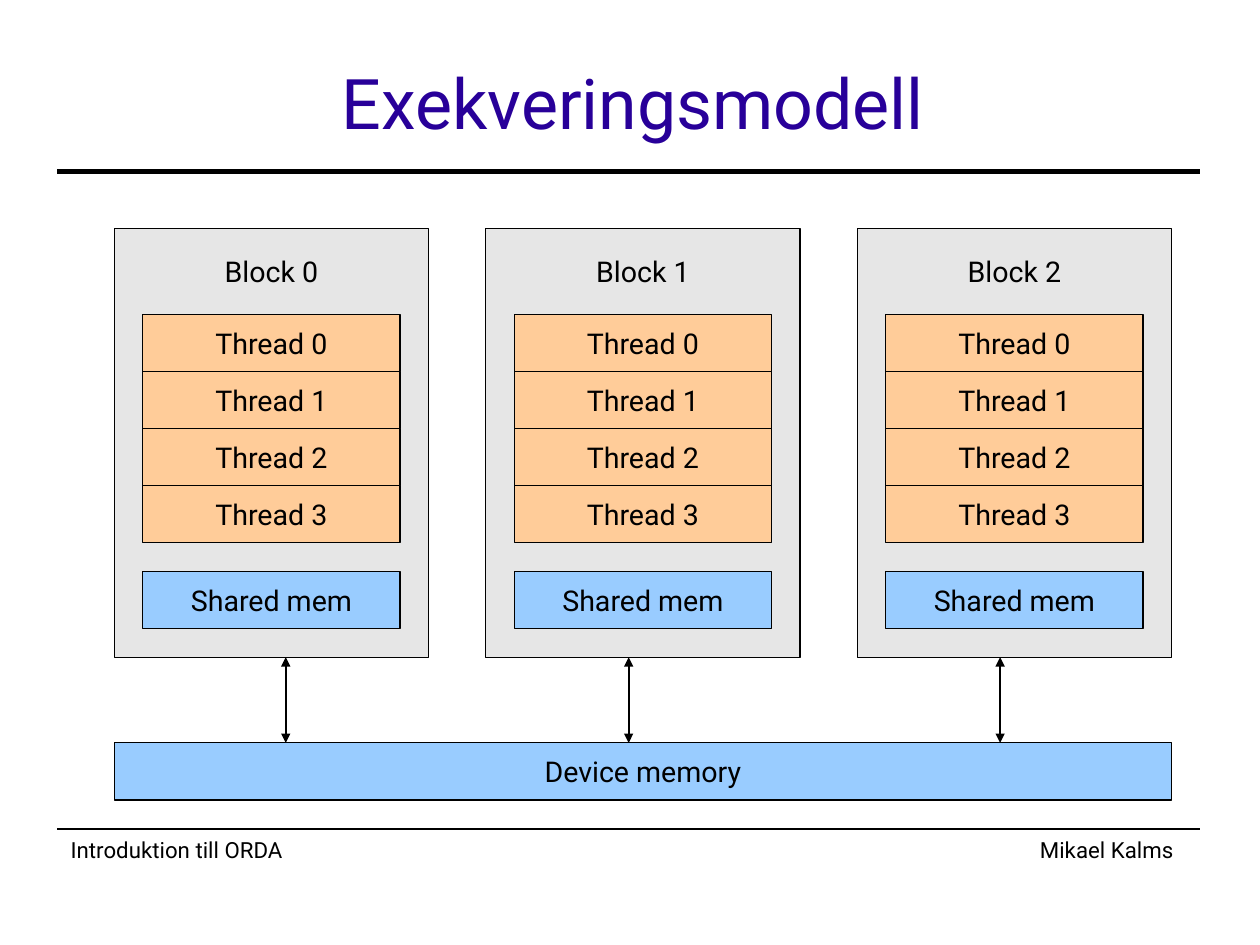
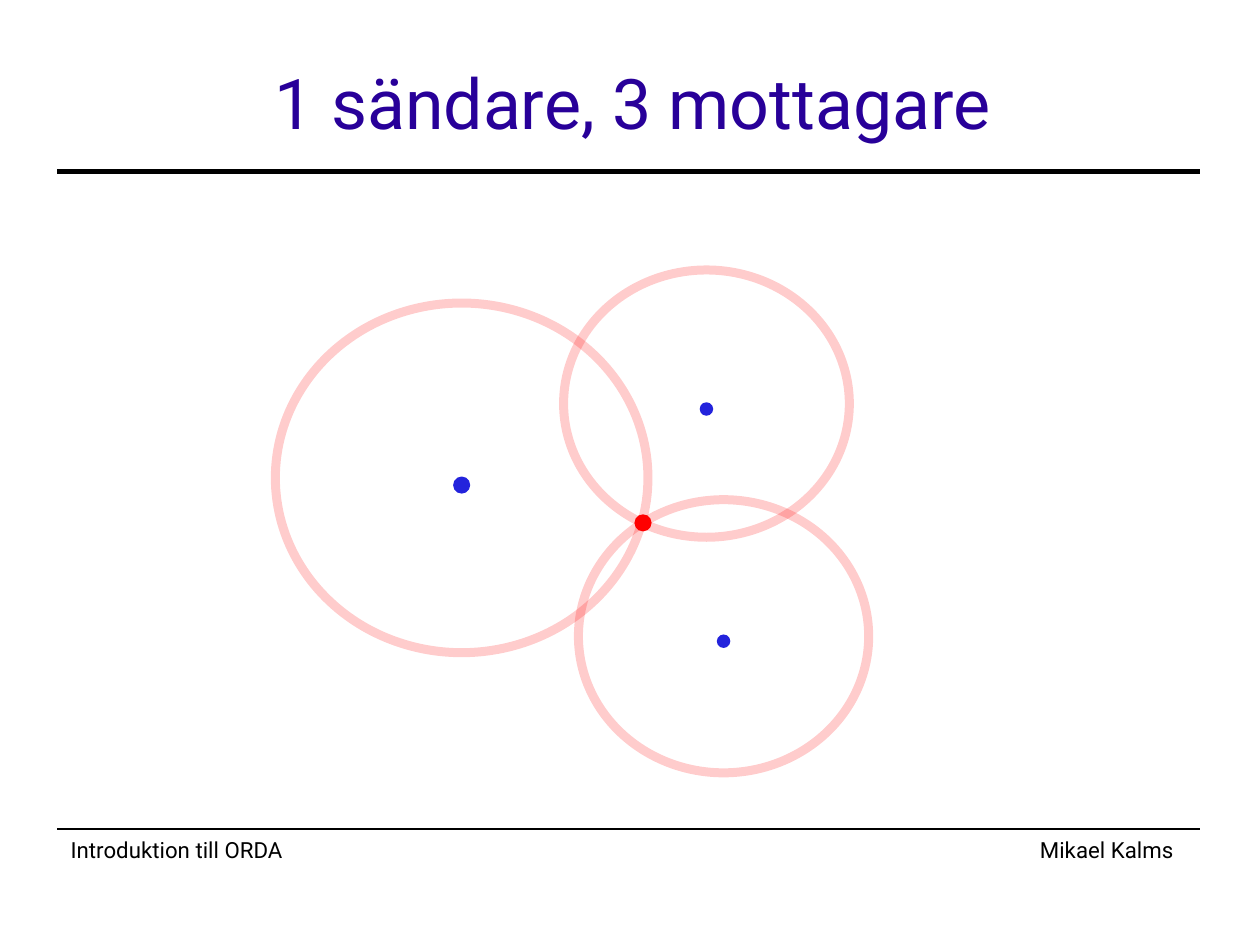
"""Build two lecture slides: the execution model and a radio positioning sketch."""
import dataclasses

import lxml.etree
import pptx
import pptx.dml.color
import pptx.enum.shapes
import pptx.enum.text
import pptx.oxml.ns
import pptx.util

Cm = pptx.util.Cm
Pt = pptx.util.Pt
SHAPES = pptx.enum.shapes.MSO_SHAPE
ALIGN = pptx.enum.text.PP_ALIGN
ANCHOR = pptx.enum.text.MSO_ANCHOR


@dataclasses.dataclass(frozen=True)
class Theme:
    """Colours, font, type sizes and line widths."""
    font: str = "Roboto"
    title_colour: str = "280099"
    ink: str = "000000"
    block: str = "E6E6E6"
    thread: str = "FFCC99"
    memory: str = "99CCFF"
    receiver: str = "2323DC"
    sender: str = "FF0000"
    title_size: float = 44
    body_size: float = 18
    footer_size: float = 14
    hairline: float = 0
    thin: float = 1.45
    thick: float = 2.89
    ring: float = 5.67
    ring_opacity: int = 20


THEME = Theme()
GRID = Cm(1.27) / 2

EXECUTION_TITLE = "Exekveringsmodell"
POSITION_TITLE = "1 sändare, 3 mottagare"
FOOTERS = [("Introduktion till ORDA", Cm(1.27), Cm(5.97)),
           ("Mikael Kalms", Cm(22.81), Cm(3.86))]
RULES = [(6, THEME.thick), (29, THEME.thin)]

BLOCKS = ["Block 0", "Block 1", "Block 2"]
THREADS = ["Thread 0", "Thread 1", "Thread 2", "Thread 3"]
SHARED_MEMORY = "Shared mem"
DEVICE_MEMORY = "Device memory"
ARROW_COLUMNS = [10, 22, 35]

RECEIVERS = [
    {"centre": (10.26, 10.62), "ring": (8.28, 7.77), "dot": 0.38, "drop": 0.16},
    {"centre": (15.7, 8.97), "ring": (6.35, 5.94), "dot": 0.3, "drop": 0.12},
    {"centre": (16.08, 14.14), "ring": (6.45, 6.07), "dot": 0.3, "drop": 0.11},
]
SENDER = {"centre": (14.29, 11.62), "dot": 0.38}


def grid(*units):
    """Turn grid units into whole lengths."""
    return [round(unit * GRID) for unit in units]


def rgb(colour):
    """Return the colour object for a hex string."""
    return pptx.dml.color.RGBColor.from_string(colour)


def add_tag(parent, tag, **attributes):
    """Append a DrawingML element."""
    return lxml.etree.SubElement(parent, pptx.oxml.ns.qn(tag), attributes)


def write(frame, text, size, colour=THEME.ink, align=ALIGN.LEFT):
    """Write one formatted run in the first paragraph."""
    paragraph = frame.paragraphs[0]
    paragraph.alignment = align
    run = paragraph.add_run()
    run.text = text
    run.font.name = THEME.font
    run.font.size = Pt(size)
    run.font.color.rgb = rgb(colour)


def set_margins(frame, horizontal, vertical):
    """Set equal side margins and equal top and bottom margins."""
    frame.margin_left = frame.margin_right = horizontal
    frame.margin_top = frame.margin_bottom = vertical


def add_line(slide, start, end, width, arrows=False):
    """Draw a straight line between two grid points."""
    connector = slide.shapes.add_connector(
        pptx.enum.shapes.MSO_CONNECTOR.STRAIGHT, *grid(*start, *end))
    connector.line.color.rgb = rgb(THEME.ink)
    connector.line.width = Pt(width)
    if arrows:
        outline = connector.element.xpath("./p:spPr/a:ln")[0]
        for tag in ("a:headEnd", "a:tailEnd"):
            add_tag(outline, tag, type="triangle")
    add_tag(connector.element.spPr, "a:effectLst")


def add_box(slide, text, fill, box, heading=False):
    """Draw a labelled rectangle placed in grid units."""
    shape = slide.shapes.add_shape(SHAPES.RECTANGLE, *grid(*box))
    shape.shadow.inherit = False
    shape.fill.solid()
    shape.fill.fore_color.rgb = rgb(fill)
    shape.line.color.rgb = rgb(THEME.ink)
    shape.line.width = Pt(THEME.hairline)
    frame = shape.text_frame
    frame.vertical_anchor = ANCHOR.TOP if heading else ANCHOR.MIDDLE
    if heading:
        frame.margin_top = Cm(0.56)
    write(frame, text, THEME.body_size, align=ALIGN.CENTER)


def add_ellipse(slide, centre, width, height):
    """Add an ellipse around a centre given in centimetres."""
    x, y = centre
    shape = slide.shapes.add_shape(SHAPES.OVAL, Cm(x - width / 2), Cm(y - height / 2),
                                   Cm(width), Cm(height))
    shape.shadow.inherit = False
    return shape


def add_dot(slide, centre, diameter, colour):
    """Draw a filled dot."""
    dot = add_ellipse(slide, centre, diameter, diameter)
    dot.fill.solid()
    dot.fill.fore_color.rgb = rgb(colour)
    dot.line.fill.background()


def add_ring(slide, centre, width, height):
    """Draw a translucent signal ring."""
    ring = add_ellipse(slide, centre, width, height)
    ring.fill.background()
    ring.line.color.rgb = rgb(THEME.sender)
    ring.line.width = Pt(THEME.ring)
    colour = ring.element.xpath("./p:spPr/a:ln//a:srgbClr")[0]
    add_tag(colour, "a:alpha", val=str(THEME.ring_opacity * 1000))


def add_slide(presentation, title_text):
    """Add a slide with its title, rules and footers."""
    slide = presentation.slides.add_slide(presentation.slide_layouts[5])
    title = slide.shapes.title
    title.left, title.top, title.width, title.height = Cm(1.47), Cm(0.64), Cm(25.2), Cm(3.25)
    frame = title.text_frame
    frame.auto_size = pptx.enum.text.MSO_AUTO_SIZE.NONE
    frame.vertical_anchor = ANCHOR.MIDDLE
    set_margins(frame, 0, 0)
    write(frame, title_text, THEME.title_size, THEME.title_colour, ALIGN.CENTER)
    for row, width in RULES:
        add_line(slide, (2, row), (42, row), width)
    for text, left, width in FOOTERS:
        footer = slide.shapes.add_textbox(left, grid(29)[0], width, Cm(0.95))
        set_margins(footer.text_frame, Cm(0.3), Cm(0.18))
        write(footer.text_frame, text, THEME.footer_size)
    return slide


def build_execution_model(presentation):
    """Draw thread blocks linked to device memory."""
    slide = add_slide(presentation, EXECUTION_TITLE)
    for block_index, block in enumerate(BLOCKS):
        left = 4 + 13 * block_index
        add_box(slide, block, THEME.block, (left, 8, 11, 15), heading=True)
        for thread_index, thread in enumerate(THREADS):
            add_box(slide, thread, THEME.thread, (left + 1, 11 + 2 * thread_index, 9, 2))
        add_box(slide, SHARED_MEMORY, THEME.memory, (left + 1, 20, 9, 2))
    add_box(slide, DEVICE_MEMORY, THEME.memory, (4, 26, 37, 2))
    for column in ARROW_COLUMNS:
        add_line(slide, (column, 23), (column, 26), THEME.thin, arrows=True)


def build_positioning(presentation):
    """Draw three receivers whose rings meet at the sender."""
    slide = add_slide(presentation, POSITION_TITLE)
    for receiver in RECEIVERS:
        x, y = receiver["centre"]
        add_ring(slide, (x, y), *receiver["ring"])
        add_dot(slide, (x, y + receiver["drop"]), receiver["dot"], THEME.receiver)
    add_dot(slide, SENDER["centre"], SENDER["dot"], THEME.sender)


def main():
    """Build and save the presentation."""
    presentation = pptx.Presentation()
    presentation.slide_width, presentation.slide_height = Cm(28), Cm(21)
    build_execution_model(presentation)
    build_positioning(presentation)
    presentation.save("out.pptx")


if __name__ == "__main__":
    main()
